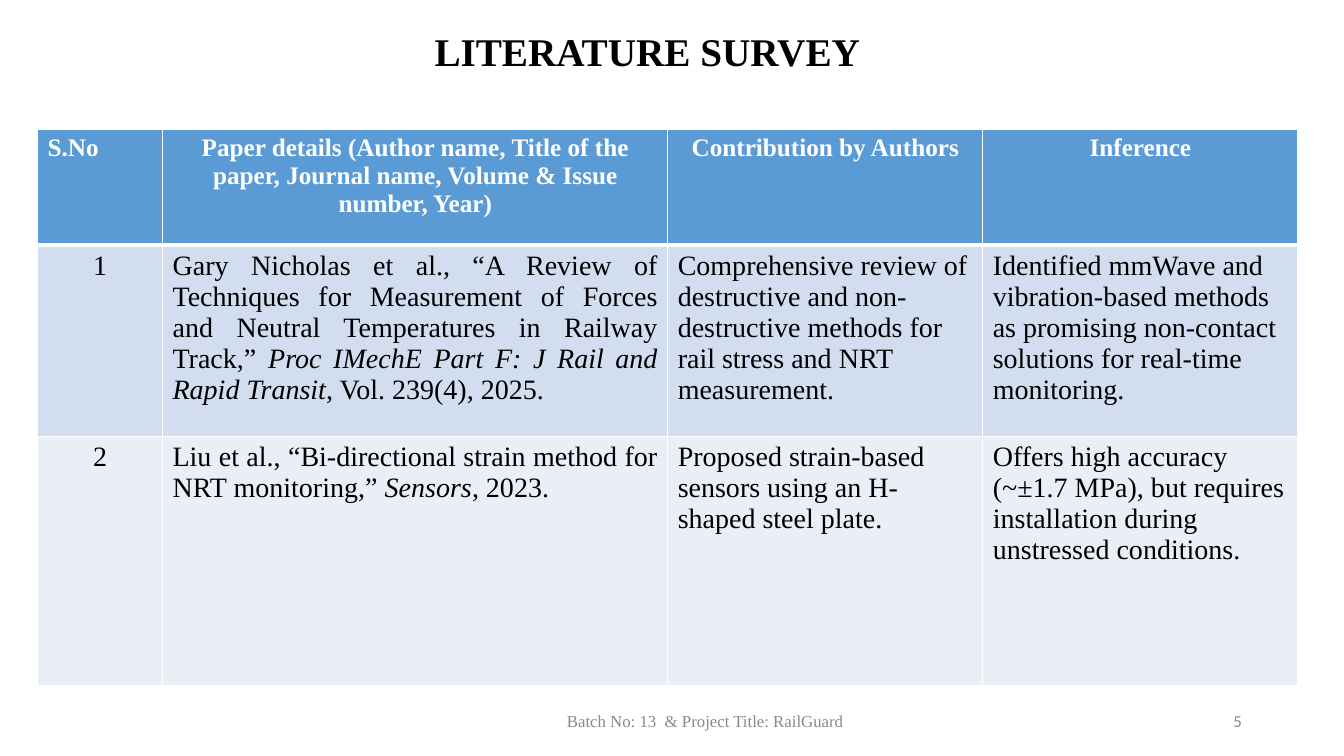
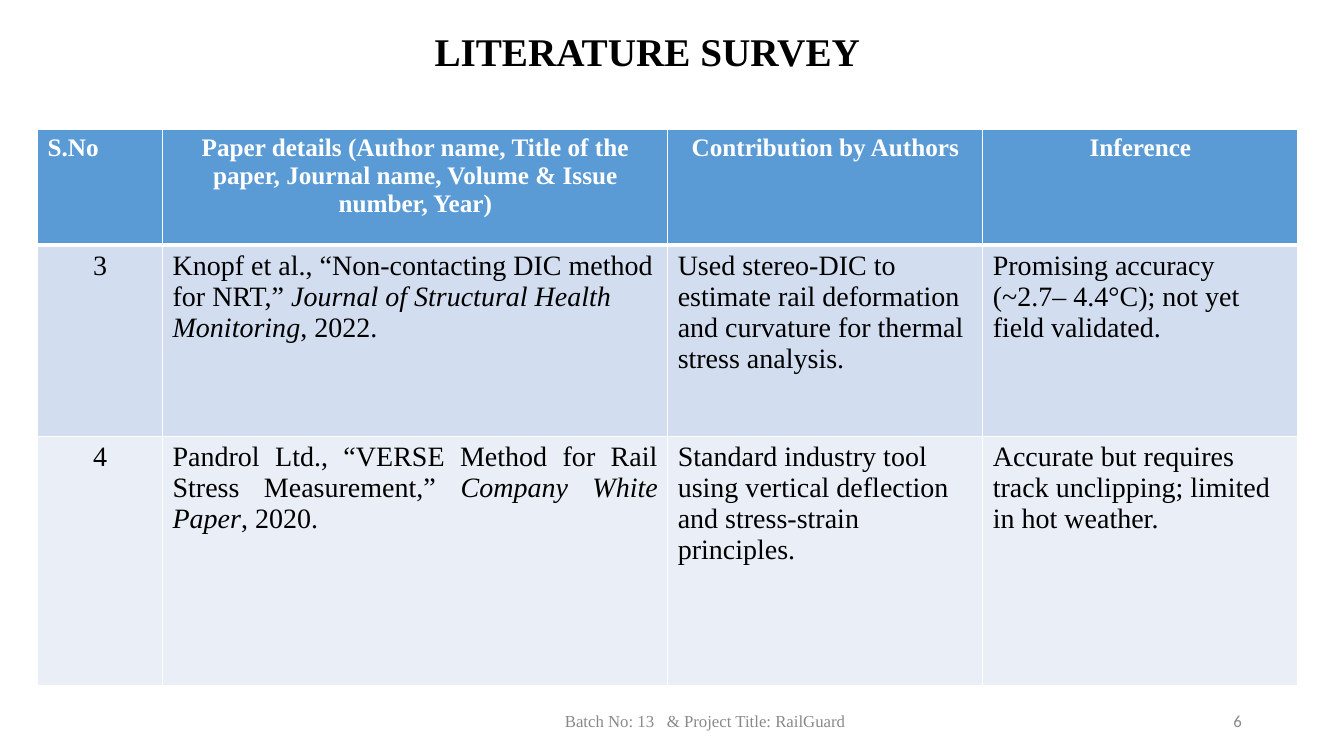
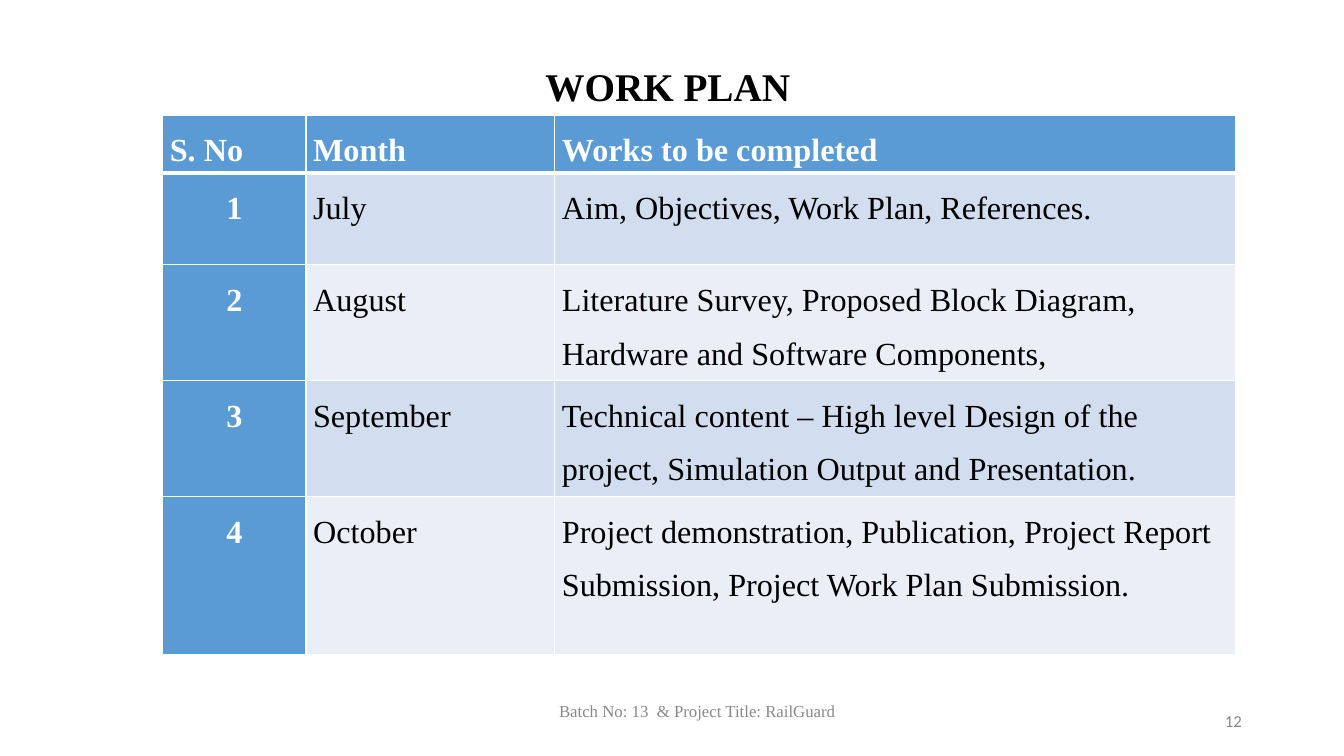
import dataclasses
import typing

import lxml.etree
import pptx
import pptx.dml.color
import pptx.enum.text
import pptx.oxml.ns
import pptx.presentation
import pptx.slide
import pptx.table
import pptx.text.text
import pptx.util

Cm = pptx.util.Cm
Align = pptx.enum.text.PP_ALIGN
Anchor = pptx.enum.text.MSO_ANCHOR


@dataclasses.dataclass(frozen=True)
class Theme:
    serif: str = "Times New Roman"
    sans: str = "Calibri"
    black: str = "000000"
    white: str = "FFFFFF"
    grey: str = "898989"
    accent: str = "5B9BD5"
    bands: tuple[str, str] = ("D2DEEF", "EAEFF7")
    title_size: float = 28
    footer_size: float = 12
    survey_head_size: float = 18
    survey_size: float = 20
    plan_size: float = 23
    rule: float = 1
    head_rule: float = 3


THEME = Theme()


class Box(typing.NamedTuple):
    """Left, top, width and height in centimetres."""
    left: float
    top: float
    width: float
    height: float


class Style(typing.NamedTuple):
    size: float
    color: str
    bold: bool = False
    font: str = THEME.serif


class Run(typing.NamedTuple):
    text: str
    italic: bool = False


class Entry(typing.NamedTuple):
    """The content and look of one table cell."""
    runs: tuple[Run, ...]
    style: Style
    fill: str
    align: Align = Align.LEFT


class Grid(typing.NamedTuple):
    left: float
    top: float
    columns: tuple[float, ...]
    rows: tuple[float, ...]
    inset_x: float
    inset_y: float
    line_spacing: float


class Paper(typing.NamedTuple):
    number: str
    citation: tuple[Run, ...]
    contribution: str
    inference: str
    align: Align = Align.JUSTIFY


class Survey(typing.NamedTuple):
    footer: str
    page: str
    papers: tuple[Paper, ...]


class Task(typing.NamedTuple):
    number: str
    month: str
    works: str


TITLE_STYLE = Style(THEME.title_size, THEME.black, True)
FOOTER_STYLE = Style(THEME.footer_size, THEME.grey)
PAGE_STYLE = Style(THEME.footer_size, THEME.grey, font=THEME.sans)
SURVEY_HEAD = Style(THEME.survey_head_size, THEME.white, True)
SURVEY_BODY = Style(THEME.survey_size, THEME.black)
PLAN_HEAD = Style(THEME.plan_size, THEME.white, True)
PLAN_BODY = Style(THEME.plan_size, THEME.black)

SURVEY_TITLE = Box(2.34, 0.56, 27.94, 1.45)
PLAN_TITLE = Box(1.17, 1.45, 31.32, 1.45)
SURVEY_FOOTER = Box(4.62, 17.65, 26.31, 1.02)
PLAN_FOOTER = Box(4.67, 17.4, 25.81, 1.02)
PAGE_NUMBER = Box(23.93, 17.65, 7.62, 1.02)

SURVEY_GRID = Grid(0.95, 3.25, (3.15, 12.73, 7.94, 7.94), (2.92, 4.83, 6.27),
                   0.25, 0.13, 1)
PLAN_GRID = Grid(4.1, 2.9, (3.61, 6.27, 17.17), (1.32, 2.31, 2.84, 2.74, 3.99),
                 0.18, 0, 1.5)

SURVEY_HEADINGS = (
    "S.No",
    "Paper details (Author name, Title of the paper, Journal name, Volume & Issue number, Year)",
    "Contribution by Authors",
    "Inference",
)
PLAN_HEADINGS = ("S. No", "Month", "Works to be completed")

SURVEYS = (
    Survey("Batch No: 13  & Project Title: RailGuard", "5", (
        Paper("1",
              (Run("Gary Nicholas et al., “A Review of Techniques for Measurement of Forces "
                   "and Neutral Temperatures in Railway Track,” "),
               Run("Proc IMechE Part F: J Rail and Rapid Transit", True),
               Run(", Vol. 239(4), 2025.")),
              "Comprehensive review of destructive and non-destructive methods for rail "
              "stress and NRT measurement.",
              "Identified mmWave and vibration-based methods as promising non-contact "
              "solutions for real-time monitoring."),
        Paper("2",
              (Run("Liu et al., “Bi-directional strain method for NRT monitoring,” "),
               Run("Sensors", True),
               Run(", 2023.")),
              "Proposed strain-based sensors using an H-shaped steel plate.",
              "Offers high accuracy (~±1.7 MPa), but requires installation during "
              "unstressed conditions."),
    )),
    Survey("Batch No: 13   & Project Title: RailGuard", "6", (
        Paper("3",
              (Run("Knopf et al., “Non-contacting DIC method for NRT,” "),
               Run("Journal of Structural Health Monitoring", True),
               Run(", 2022.")),
              "Used stereo-DIC to estimate rail deformation and curvature for thermal "
              "stress analysis.",
              "Promising accuracy (~2.7– 4.4°C); not yet field validated.",
              Align.LEFT),
        Paper("4",
              (Run("Pandrol Ltd., “VERSE Method for Rail Stress Measurement,” "),
               Run("Company White Paper", True),
               Run(", 2020.")),
              "Standard industry tool using vertical deflection and stress-strain principles.",
              "Accurate but requires track unclipping; limited in hot weather."),
    )),
)

TASKS = (
    Task("1", "July", "Aim, Objectives, Work Plan, References."),
    Task("2", "August",
         "Literature Survey, Proposed Block Diagram, Hardware and Software Components,"),
    Task("3", "September",
         "Technical content – High level Design of the project, Simulation Output and "
         "Presentation."),
    Task("4", "October",
         "Project demonstration, Publication, Project Report Submission, Project Work Plan "
         "Submission."),
)


def write(frame: pptx.text.text.TextFrame, runs: tuple[Run, ...], style: Style,
          align: Align, line_spacing: float = 1) -> None:
    paragraph = frame.paragraphs[0]
    paragraph.alignment = align
    paragraph.line_spacing = line_spacing
    for part in runs:
        run = paragraph.add_run()
        run.text = part.text
        run.font.name = style.font
        run.font.size = pptx.util.Pt(style.size)
        run.font.bold = style.bold
        run.font.italic = part.italic
        run.font.color.rgb = pptx.dml.color.RGBColor.from_string(style.color)


def add_line(slide: pptx.slide.Slide, box: Box, text: str, style: Style, align: Align) -> None:
    """Add a single line of text, centred vertically in its box."""
    frame = slide.shapes.add_textbox(*map(Cm, box)).text_frame
    frame.word_wrap = True
    frame.vertical_anchor = Anchor.MIDDLE
    write(frame, (Run(text),), style, align)


def add_slide(deck: pptx.presentation.Presentation, title: str, title_box: Box,
              footer: str, footer_box: Box, page: str) -> pptx.slide.Slide:
    """Add a slide with its title, footer and page number."""
    slide = deck.slides.add_slide(deck.slide_layouts.get_by_name("Title Only"))
    heading = slide.shapes.title
    heading.left, heading.top, heading.width, heading.height = map(Cm, title_box)
    frame = heading.text_frame
    frame.word_wrap = True
    frame.auto_size = pptx.enum.text.MSO_AUTO_SIZE.SHAPE_TO_FIT_TEXT
    frame.vertical_anchor = Anchor.TOP
    write(frame, (Run(title),), TITLE_STYLE, Align.CENTER)
    add_line(slide, footer_box, footer, FOOTER_STYLE, Align.CENTER)
    add_line(slide, PAGE_NUMBER, page, PAGE_STYLE, Align.RIGHT)
    return slide


def set_borders(cell: pptx.table._Cell, row: int) -> None:
    """Draw white cell borders, with a heavier rule under the header row."""
    qn = pptx.oxml.ns.qn
    widths = {
        "a:lnL": THEME.rule,
        "a:lnR": THEME.rule,
        "a:lnT": THEME.head_rule if row == 1 else THEME.rule,
        "a:lnB": THEME.head_rule if row == 0 else THEME.rule,
    }
    properties = cell._tc.get_or_add_tcPr()
    for side, width in widths.items():
        line = lxml.etree.SubElement(properties, qn(side), w=str(pptx.util.Pt(width)))
        paint = lxml.etree.SubElement(line, qn("a:solidFill"))
        lxml.etree.SubElement(paint, qn("a:srgbClr"), val=THEME.white)


def add_grid(slide: pptx.slide.Slide, grid: Grid, entries: list[list[Entry]]) -> None:
    table = slide.shapes.add_table(
        len(grid.rows), len(grid.columns), Cm(grid.left), Cm(grid.top),
        Cm(sum(grid.columns)), Cm(sum(grid.rows))).table
    for column, width in zip(table.columns, grid.columns):
        column.width = Cm(width)
    for row, height in zip(table.rows, grid.rows):
        row.height = Cm(height)
    for row_index, row_entries in enumerate(entries):
        for column_index, entry in enumerate(row_entries):
            cell = table.cell(row_index, column_index)
            cell.margin_left = cell.margin_right = Cm(grid.inset_x)
            cell.margin_top = cell.margin_bottom = Cm(grid.inset_y)
            set_borders(cell, row_index)
            cell.fill.solid()
            cell.fill.fore_color.rgb = pptx.dml.color.RGBColor.from_string(entry.fill)
            write(cell.text_frame, entry.runs, entry.style, entry.align, grid.line_spacing)


def band(index: int) -> str:
    return THEME.bands[index % len(THEME.bands)]


def survey_entries(papers: tuple[Paper, ...]) -> list[list[Entry]]:
    entries = [[
        Entry((Run(heading),), SURVEY_HEAD, THEME.accent, Align.CENTER if index else Align.LEFT)
        for index, heading in enumerate(SURVEY_HEADINGS)
    ]]
    for index, paper in enumerate(papers):
        fill = band(index)
        entries.append([
            Entry((Run(paper.number),), SURVEY_BODY, fill, Align.CENTER),
            Entry(paper.citation, SURVEY_BODY, fill, paper.align),
            Entry((Run(paper.contribution),), SURVEY_BODY, fill),
            Entry((Run(paper.inference),), SURVEY_BODY, fill),
        ])
    return entries


def plan_entries(tasks: tuple[Task, ...]) -> list[list[Entry]]:
    entries = [[Entry((Run(heading),), PLAN_HEAD, THEME.accent) for heading in PLAN_HEADINGS]]
    for index, task in enumerate(tasks):
        entries.append([
            Entry((Run(task.number),), PLAN_HEAD, THEME.accent, Align.CENTER),
            Entry((Run(task.month),), PLAN_BODY, band(index)),
            Entry((Run(task.works),), PLAN_BODY, band(index)),
        ])
    return entries


def main() -> None:
    deck = pptx.Presentation()
    deck.slide_width, deck.slide_height = Cm(33.87), Cm(19.05)
    for survey in SURVEYS:
        slide = add_slide(deck, "LITERATURE SURVEY", SURVEY_TITLE,
                          survey.footer, SURVEY_FOOTER, survey.page)
        add_grid(slide, SURVEY_GRID, survey_entries(survey.papers))
    plan = add_slide(deck, "WORK PLAN", PLAN_TITLE,
                     "Batch No: 13  & Project Title: RailGuard", PLAN_FOOTER, "12")
    add_grid(plan, PLAN_GRID, plan_entries(TASKS))
    deck.save("out.pptx")


if __name__ == "__main__":
    main()
